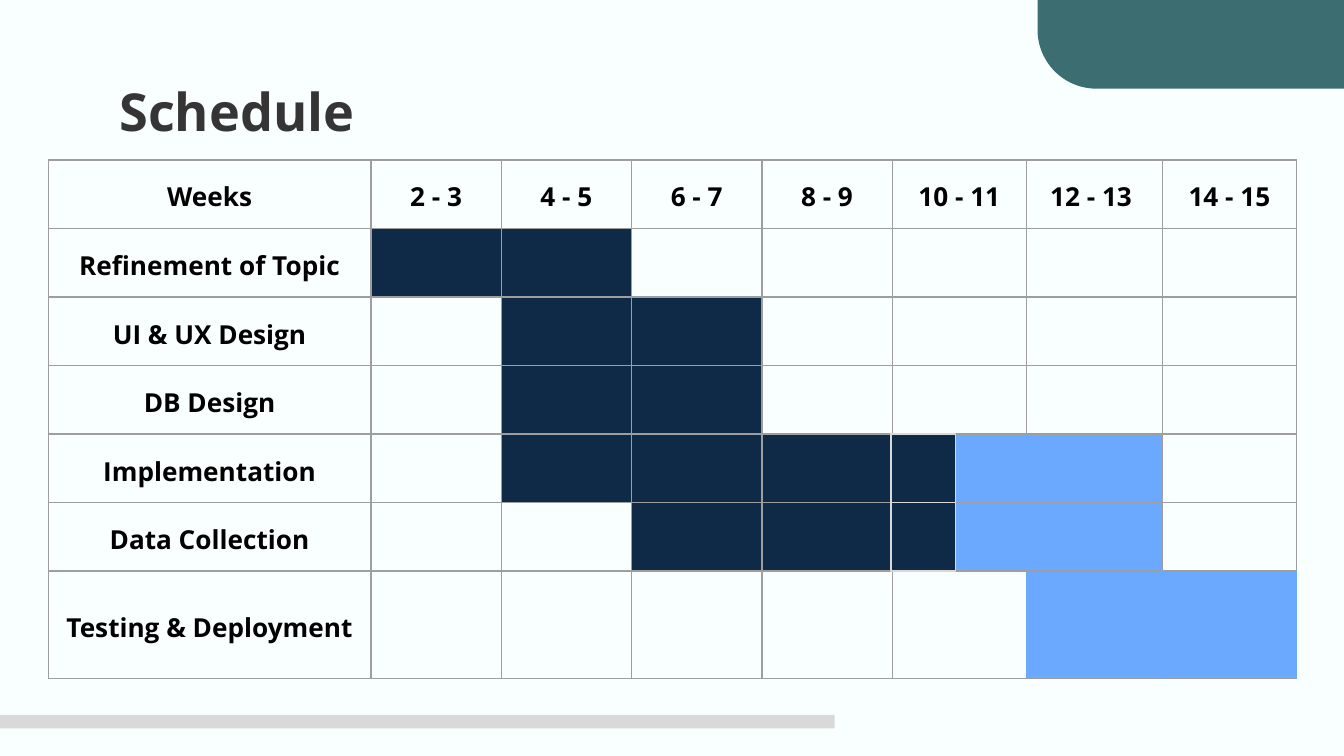
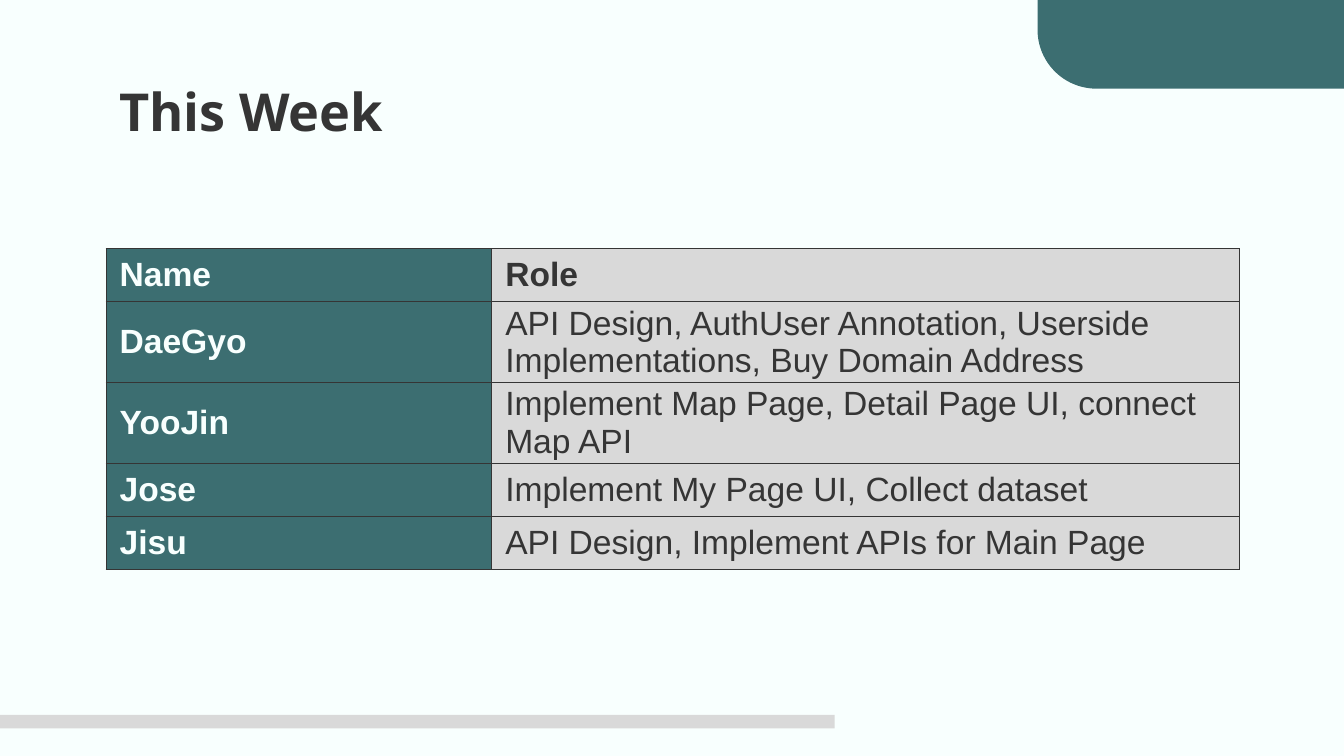
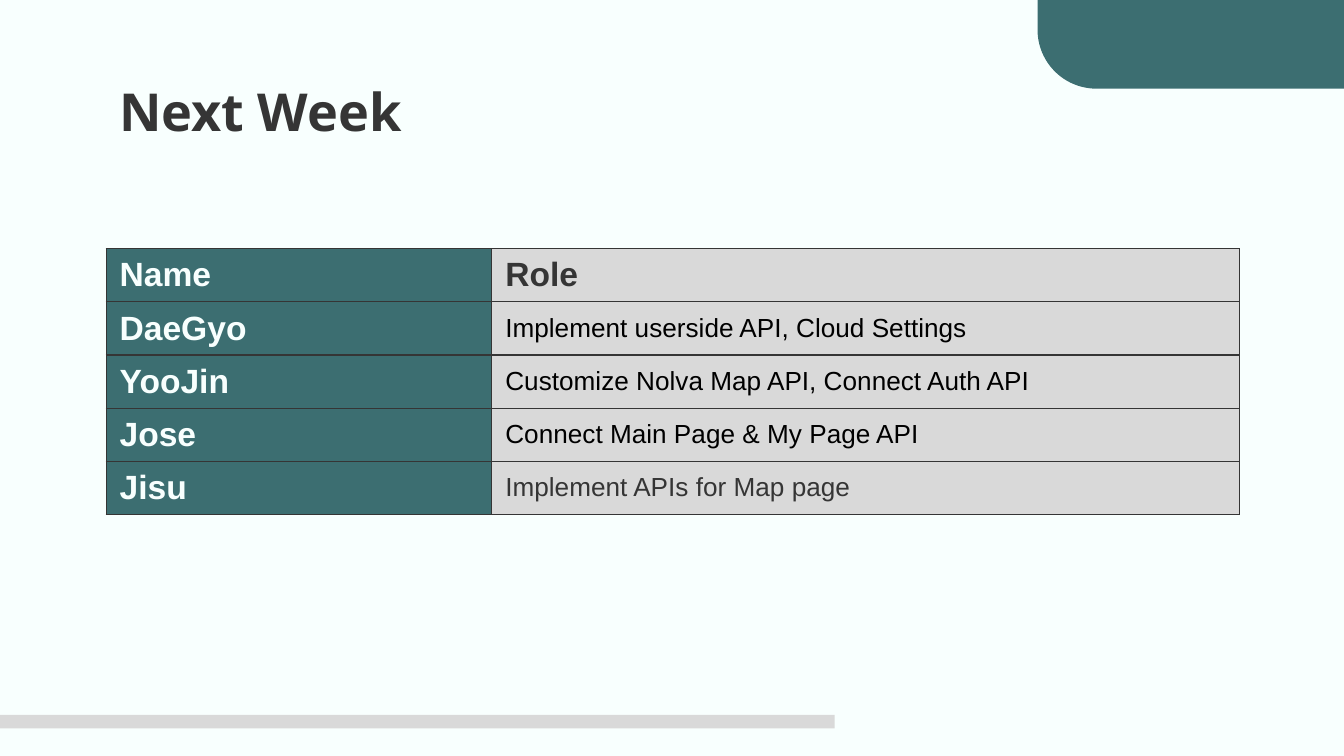
from dataclasses import dataclass
from typing import Any, Optional

import pptx
import pptx.dml.color
import pptx.enum.shapes
import pptx.enum.text
import pptx.oxml
import pptx.oxml.ns
import pptx.util

Inches = pptx.util.Inches
Pt = pptx.util.Pt
Align = pptx.enum.text.PP_ALIGN
Anchor = pptx.enum.text.MSO_ANCHOR
Preset = pptx.enum.shapes.MSO_SHAPE


@dataclass(frozen=True)
class Theme:
    paper: str = "F8FFFE"
    teal: str = "3C6E71"
    silver: str = "D9D9D9"
    ink: str = "353535"
    black: str = "000000"
    grid: str = "9E9E9E"
    done: str = "0E2A47"
    planned: str = "6AA9FF"
    heading_font: str = "Open Sans"
    body_font: str = "Arial"
    title_size: int = 28
    body_size: int = 18
    small_size: int = 14
    hairline: float = 0.75


THEME = Theme()


@dataclass(frozen=True)
class TextStyle:
    font: str
    size: int
    color: str
    bold: bool = False


@dataclass(frozen=True)
class Block:
    left: float
    top: float
    width: float
    height: float
    fill: str
    line: Optional[str] = None
    preset: Any = Preset.RECTANGLE
    corner: Optional[float] = None


@dataclass(frozen=True)
class Task:
    name: str
    done: tuple[int, ...] = ()
    planned: tuple[int, ...] = ()


@dataclass(frozen=True)
class Duty:
    name: str
    role: str
    style: TextStyle
    space_after: int = 0


TITLE = TextStyle(THEME.heading_font, THEME.title_size, THEME.ink, True)
SCHEDULE = TextStyle(THEME.heading_font, THEME.small_size, THEME.black, True)
NAME = TextStyle(THEME.body_font, THEME.body_size, THEME.paper, True)
ROLE_HEAD = TextStyle(THEME.body_font, THEME.body_size, THEME.ink, True)
ROLE = TextStyle(THEME.body_font, THEME.body_size, THEME.ink)
SMALL_BLACK = TextStyle(THEME.body_font, THEME.small_size, THEME.black)
SMALL_INK = TextStyle(THEME.body_font, THEME.small_size, THEME.ink)

SHARED_BLOCKS = (
    Block(7.72, -0.87, 3, 1.53, THEME.teal, preset=Preset.ROUNDED_RECTANGLE, corner=0.287),
    Block(0, 5.32, 6.21, 0.1, THEME.silver),
)
PROGRESS_BLOCKS = tuple(
    Block(6.63, 3.23 + 0.51 * step, 0.48, 0.51, THEME.done, THEME.silver) for step in range(2)
)

WEEKS = ("2 - 3", "4 - 5", "6 - 7", "8 - 9", "10 - 11", "12 - 13 ", "14 - 15")
TASKS = (
    Task("Refinement of Topic", done=(1, 2)),
    Task("UI & UX Design", done=(2, 3)),
    Task("DB Design", done=(2, 3)),
    Task("Implementation", done=(2, 3, 4), planned=(5, 6)),
    Task("Data Collection", done=(3, 4), planned=(5, 6)),
    Task("Testing & Deployment", planned=(6, 7)),
)
HEADER = Duty("Name", "Role", ROLE_HEAD, 16)
THIS_WEEK = (
    HEADER,
    Duty(
        "DaeGyo",
        "API Design, AuthUser Annotation, Userside Implementations, Buy Domain Address",
        ROLE,
        16,
    ),
    Duty("YooJin", "Implement Map Page, Detail Page UI, connect Map API", ROLE, 16),
    Duty("Jose", "Implement My Page UI, Collect dataset", ROLE, 16),
    Duty("Jisu", "API Design, Implement APIs for Main Page", ROLE),
)
NEXT_WEEK = (
    HEADER,
    Duty("DaeGyo", "Implement userside API, Cloud Settings", SMALL_BLACK),
    Duty("YooJin", "Customize Nolva Map API, Connect Auth API", SMALL_BLACK),
    Duty("Jose", "Connect Main Page & My Page API", SMALL_BLACK),
    Duty("Jisu", "Implement APIs for Map page", SMALL_INK),
)


def rgb(color: str) -> pptx.dml.color.RGBColor:
    return pptx.dml.color.RGBColor.from_string(color)


def apply(target: Any, values: dict[str, Any]) -> None:
    for name, value in values.items():
        setattr(target, name, value)


def margins(horizontal: float, vertical: float) -> dict[str, Any]:
    return {
        "margin_left": Inches(horizontal),
        "margin_right": Inches(horizontal),
        "margin_top": Inches(vertical),
        "margin_bottom": Inches(vertical),
    }


def write(frame: Any, text: str, style: TextStyle, layout: dict[str, Any]) -> None:
    para = frame.paragraphs[0]
    apply(para, layout)
    span = para.add_run()
    span.text = text
    apply(span.font, {"name": style.font, "size": Pt(style.size), "bold": style.bold})
    span.font.color.rgb = rgb(style.color)


def draw_block(page: Any, block: Block) -> None:
    lengths = map(Inches, (block.left, block.top, block.width, block.height))
    shape = page.shapes.add_shape(block.preset, *lengths)
    shape.shadow.inherit = False
    shape.fill.solid()
    shape.fill.fore_color.rgb = rgb(block.fill)
    if block.corner is not None:
        shape.adjustments[0] = block.corner
    if block.line:
        shape.line.color.rgb = rgb(block.line)
        shape.line.width = Pt(THEME.hairline)
    else:
        shape.line.fill.background()


def add_page(deck: Any, title: str) -> Any:
    page = deck.slides.add_slide(deck.slide_layouts[6])
    for block in SHARED_BLOCKS:
        draw_block(page, block)
    box = page.shapes.add_textbox(Inches(0.79), Inches(0.51), Inches(8.43), Inches(0.63))
    frame_format = {"word_wrap": True, "vertical_anchor": Anchor.MIDDLE, **margins(0.1, 0.1)}
    apply(box.text_frame, frame_format)
    write(box.text_frame, title, TITLE, {})
    return page


def add_grid(
    page: Any, left: float, top: float, height: float, columns: list[float], rows: list[float]
) -> Any:
    frame = page.shapes.add_table(
        len(rows), len(columns),
        Inches(left), Inches(top), Inches(sum(columns)), Inches(height),
    )
    table = frame.table
    apply(table, {"first_row": False, "horz_banding": False})
    for column, width in zip(table.columns, columns):
        column.width = Inches(width)
    for row, row_height in zip(table.rows, rows):
        row.height = Inches(row_height)
    frame.height = Inches(height)
    return table


def style_cell(cell: Any, fill: Optional[str], edges: dict[str, str]) -> None:
    if fill:
        cell.fill.solid()
        cell.fill.fore_color.rgb = rgb(fill)
    else:
        cell.fill.background()
    properties = cell._tc.get_or_add_tcPr()
    for index, (edge, color) in enumerate(edges.items()):
        line = pptx.oxml.parse_xml(
            f'<a:{edge} {pptx.oxml.ns.nsdecls("a")} w="{Pt(THEME.hairline)}">'
            f'<a:solidFill><a:srgbClr val="{color}"/></a:solidFill></a:{edge}>'
        )
        properties.insert(index, line)


def same_edges(color: str) -> dict[str, str]:
    return dict.fromkeys(("lnL", "lnR", "lnT", "lnB"), color)


def add_schedule(page: Any) -> None:
    columns = [2.4] + [0.97] * 4 + [1, 1.01, 1]
    rows = [0.51] * 6 + [0.8]
    table = add_grid(page, 0.36, 1.19, 3.86, columns, rows)
    layout = {"alignment": Align.CENTER, "line_spacing": 1.15}
    plain = same_edges(THEME.grid)
    for column, label in enumerate(("Weeks", *WEEKS)):
        cell = table.cell(0, column)
        apply(cell, margins(0.1, 0.1))
        write(cell.text_frame, label, SCHEDULE, layout)
        style_cell(cell, None, plain)
    for row, task in enumerate(TASKS, start=1):
        fills = dict.fromkeys(task.done, THEME.done) | dict.fromkeys(task.planned, THEME.planned)
        for column in range(len(columns)):
            cell = table.cell(row, column)
            sides = {"lnL": THEME.planned, "lnR": THEME.planned} if column in task.planned else {}
            style_cell(cell, fills.get(column), plain | sides)
        label_cell = table.cell(row, 0)
        apply(label_cell, {"vertical_anchor": Anchor.MIDDLE, **margins(0.1, 0.1)})
        write(label_cell.text_frame, task.name, SCHEDULE, layout)
    for block in PROGRESS_BLOCKS:
        draw_block(page, block)


def add_duties(page: Any, duties: tuple[Duty, ...], height: float) -> None:
    rows = [1.98 / len(duties)] * len(duties)
    table = add_grid(page, 0.79, 1.85, height, [2.87, 5.56], rows)
    for row, duty in enumerate(duties):
        entries = (
            (duty.name, NAME, THEME.teal, 0),
            (duty.role, duty.style, THEME.silver, duty.space_after),
        )
        for column, (text, style, fill, space_after) in enumerate(entries):
            cell = table.cell(row, column)
            apply(cell, {"vertical_anchor": Anchor.MIDDLE, **margins(0.1, 0)})
            write(cell.text_frame, text, style, {"space_after": Pt(space_after)})
            style_cell(cell, fill, same_edges(THEME.ink))


def main() -> None:
    deck = pptx.Presentation()
    width = Inches(10)
    apply(deck, {"slide_width": width, "slide_height": width * 9 // 16})
    backdrop = deck.slide_master.background.fill
    backdrop.solid()
    backdrop.fore_color.rgb = rgb(THEME.paper)
    add_schedule(add_page(deck, "Schedule"))
    add_duties(add_page(deck, "This Week"), THIS_WEEK, 2.39)
    add_duties(add_page(deck, "Next Week"), NEXT_WEEK, 1.98)
    deck.save("out.pptx")


if __name__ == "__main__":
    main()
